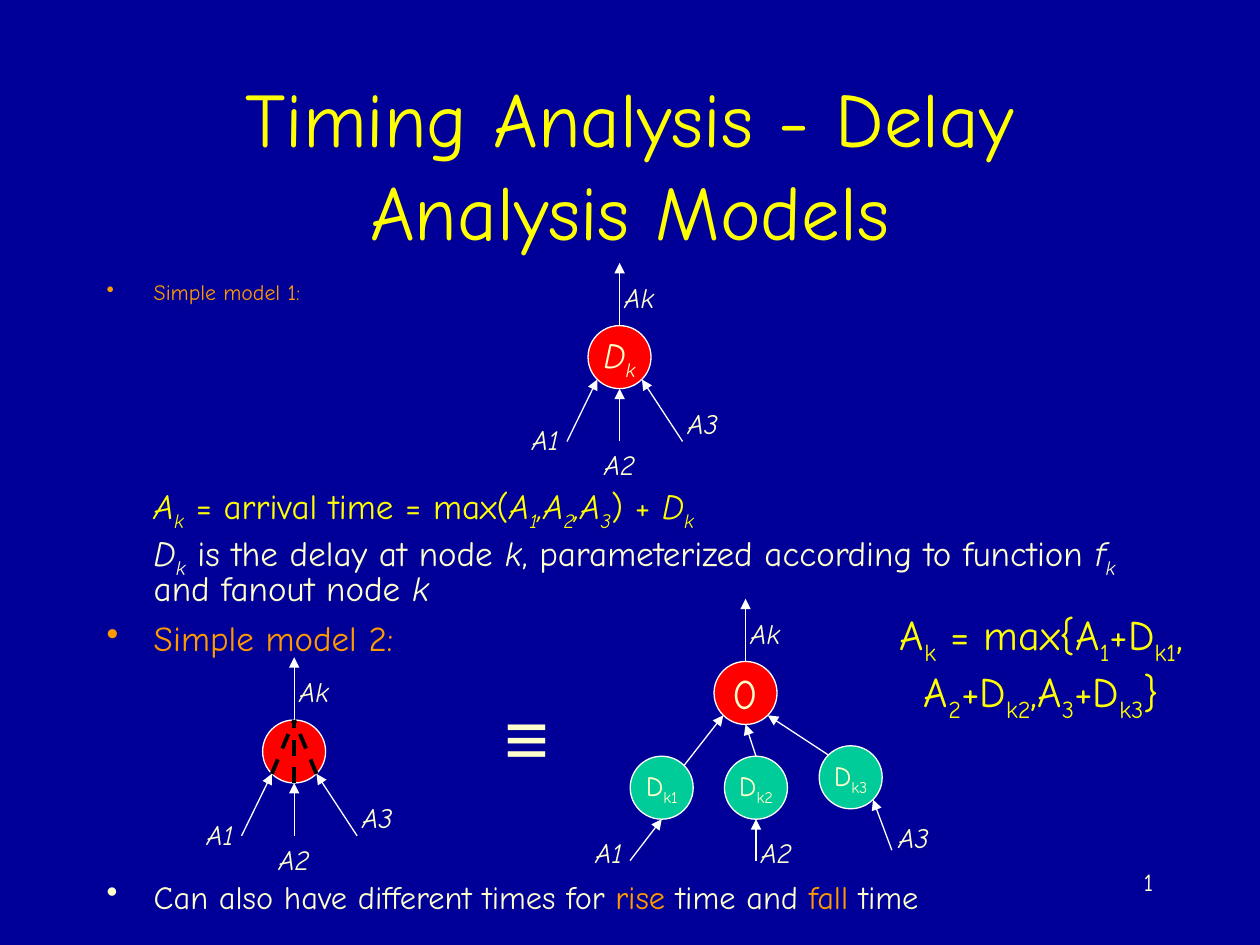
"""Build a slide that compares two delay models for timing analysis."""
import pptx
import pptx.dml.color
import pptx.enum.dml
import pptx.enum.shapes
import pptx.enum.text
import pptx.oxml.ns
import pptx.util
from lxml import etree

Cm = pptx.util.Cm
Pt = pptx.util.Pt
RGBColor = pptx.dml.color.RGBColor
ALIGN = pptx.enum.text.PP_ALIGN
ANCHOR = pptx.enum.text.MSO_ANCHOR
qn = pptx.oxml.ns.qn

NAVY = RGBColor(0x00, 0x00, 0x99)
YELLOW = RGBColor(0xFF, 0xFF, 0x00)
ORANGE = RGBColor(0xFF, 0x99, 0x00)
CREAM = RGBColor(0xFF, 0xFF, 0xCC)
RED = RGBColor(0xFF, 0x00, 0x00)
GREEN = RGBColor(0x00, 0xCC, 0x99)
WHITE = RGBColor(0xFF, 0xFF, 0xFF)
BLACK = RGBColor(0x00, 0x00, 0x00)

FONT = "Comic Neue"
RADIUS = 0.635
DIAGONAL = 0.45
HANG = 0.95
LEFT, WIDTH = 1.9, 21.6
LABEL_WIDTH, LABEL_HEIGHT = 1.3, 0.94


def write_spans(para, spans, size, colour, font=FONT):
    """Add (text, style, colour) spans; style i is italic and s is subscript."""
    for text, style, *own_colour in spans:
        span = para.add_run()
        span.text = text
        span.font.name = font
        span.font.size = Pt(size)
        span.font.italic = "i" in style
        span.font.color.rgb = own_colour[0] if own_colour else colour
        if "s" in style:
            span.font._element.set("baseline", "-25000")


def add_box(page, left, top, width, height, anchor=ANCHOR.TOP, wrap=True):
    """Add an empty text box and return its text frame."""
    box = page.shapes.add_textbox(Cm(left), Cm(top), Cm(width), Cm(height))
    frame = box.text_frame
    frame.word_wrap = wrap
    frame.vertical_anchor = anchor
    if not wrap:
        frame.auto_size = pptx.enum.text.MSO_AUTO_SIZE.SHAPE_TO_FIT_TEXT
    return frame


def add_centred(page, left, top, width, height, spans, size, colour, font=FONT, wrap=True):
    """Add a text box with one centred paragraph."""
    para = add_box(page, left, top, width, height, ANCHOR.MIDDLE, wrap).paragraphs[0]
    para.alignment = ALIGN.CENTER
    write_spans(para, spans, size, colour, font)


def add_label(page, x, y, text):
    """Add a signal name centred on a point."""
    add_centred(page, x - LABEL_WIDTH / 2, y - LABEL_HEIGHT / 2, LABEL_WIDTH, LABEL_HEIGHT,
                [(text, "i")], 16, CREAM, wrap=False)


def write_item(para, spans, size, colour, bullet=None, spacing=None):
    """Write an indented paragraph, with a hanging bullet if a colour is given."""
    para.space_before = Pt(5)
    if spacing:
        para.line_spacing = spacing
    properties = para._p.get_or_add_pPr()
    properties.set("marL", str(Cm(HANG)))
    properties.set("indent", str(-Cm(HANG) if bullet else 0))
    if bullet:
        bullet_colour = etree.SubElement(properties, qn("a:buClr"))
        etree.SubElement(bullet_colour, qn("a:srgbClr")).set("val", str(bullet))
        etree.SubElement(properties, qn("a:buChar")).set("char", "•")
    write_spans(para, spans, size, colour)


def add_node(page, x, y, fill, spans=(), size=16):
    """Add a round graph node centred on a point."""
    node = page.shapes.add_shape(
        pptx.enum.shapes.MSO_SHAPE.FLOWCHART_CONNECTOR,
        Cm(x - RADIUS), Cm(y - RADIUS), Cm(2 * RADIUS), Cm(2 * RADIUS))
    node.shadow.inherit = False
    node.fill.solid()
    node.fill.fore_color.rgb = fill
    node.line.color.rgb = WHITE
    node.line.width = Pt(0.75)
    node.text_frame.word_wrap = False
    node.text_frame.vertical_anchor = ANCHOR.MIDDLE
    para = node.text_frame.paragraphs[0]
    para.alignment = ALIGN.CENTER
    write_spans(para, spans, size, CREAM)


def add_line(page, x1, y1, x2, y2, dashed=False):
    """Add a thin white arrow or a thick black dashed line."""
    line = page.shapes.add_connector(
        pptx.enum.shapes.MSO_CONNECTOR.STRAIGHT, Cm(x1), Cm(y1), Cm(x2), Cm(y2))
    line.line.color.rgb = BLACK if dashed else WHITE
    line.line.width = Pt(2.25 if dashed else 0.75)
    if dashed:
        line.line.dash_style = pptx.enum.dml.MSO_LINE.DASH
    else:
        etree.SubElement(line.line._get_or_add_ln(), qn("a:tailEnd")).set("type", "triangle")
    etree.SubElement(line._element.spPr, qn("a:effectLst"))


def add_output(page, x, y):
    """Add the outgoing arrow and its label above a node."""
    add_line(page, x, y - RADIUS, x, y - 1.9)
    add_label(page, x + 0.4, y - 1.21, "Ak")


def add_fan(page, x, y, spans=()):
    """Add a red node with three labelled inputs and one output."""
    add_node(page, x, y, RED, spans, 20)
    inputs = [("A1", -1.06, -DIAGONAL, DIAGONAL, -1.49, 1.66),
              ("A2", 0, 0, RADIUS, 0, 2.17),
              ("A3", 1.27, DIAGONAL, DIAGONAL, 1.68, 1.33)]
    for name, start, tip_x, tip_y, label_x, label_y in inputs:
        add_line(page, x + start, y + 1.7, x + tip_x, y + tip_y)
        add_label(page, x + label_x, y + label_y, name)
    add_output(page, x, y)


def add_inner_paths(page, x, y):
    """Add the dashed paths from the inputs to the output of a node."""
    for dx, dy in [(-DIAGONAL, DIAGONAL), (0, RADIUS), (DIAGONAL, DIAGONAL)]:
        add_line(page, x + dx, y + dy, x, y - RADIUS, dashed=True)


def add_expanded_model(page, x, y):
    """Add the zero-delay node fed by one delay node for each input."""
    add_node(page, x, y, RED, [("0", "")], 24)
    add_output(page, x, y)
    branches = [(13.34, 15.88, -1, (-0.64, 0), RADIUS, (-1.06, 1.3)),
                (15.24, 15.88, 0, (0, 0), RADIUS, (0.41, 1.3)),
                (17.15, 15.67, 1, (0.83, DIAGONAL), DIAGONAL, (1.27, 1.21))]
    for number, branch in enumerate(branches, 1):
        node_x, node_y, side, (start, tip_x), tip_y, (label_x, label_y) = branch
        reach = DIAGONAL if side else RADIUS
        add_node(page, node_x, node_y, GREEN, [("D", ""), (f"k{number}", "s")])
        add_line(page, node_x - side * DIAGONAL, node_y - reach,
                 x + side * DIAGONAL, y + reach)
        add_line(page, node_x + start, node_y + 1.47, node_x + tip_x, node_y + tip_y)
        add_label(page, node_x + label_x, node_y + label_y, f"A{number}")


def add_notes_on_models(page):
    """Add the bulleted text and the arrival time definitions."""
    first = add_box(page, LEFT, 5.5, WIDTH, 0.85).paragraphs[0]
    write_item(first, [("Simple model 1:", "")], 12.5, ORANGE, ORANGE)

    frame = add_box(page, LEFT, 9.74, WIDTH, 4.02)
    arrival = [("A", "i"), ("k", "is"), (" = arrival time = max(", ""), ("A", "i"),
               ("1", "is"), (",A", "i"), ("2", "is"), (",A", "i"), ("3", "is"),
               (") + ", ""), ("D", "i"), ("k", "is")]
    delay = [("D", "i"), ("k", "is"), (" is the delay at node ", ""), ("k", "i"),
             (", parameterized according to function ", ""), ("f", "i"), ("k", "is"),
             (" and fanout node ", ""), ("k", "i")]
    write_item(frame.paragraphs[0], arrival, 20, YELLOW, spacing=0.8)
    write_item(frame.add_paragraph(), delay, 20, CREAM, spacing=0.8)
    write_item(frame.add_paragraph(), [("Simple model 2:", "")], 20, ORANGE, ORANGE)

    last = add_box(page, LEFT, 17.78, WIDTH, 0.85).paragraphs[0]
    times = [("Can also have different times for ", ""), ("rise", "", ORANGE),
             (" time and ", ""), ("fall", "", ORANGE), (" time", "")]
    write_item(last, times, 18.5, CREAM, CREAM, 0.7)


def main():
    """Build the slide and save the deck."""
    deck = pptx.Presentation()
    deck.slide_width, deck.slide_height = Cm(25.4), Cm(19.05)
    page = deck.slides.add_slide(deck.slide_layouts[6])
    page.background.fill.solid()
    page.background.fill.fore_color.rgb = NAVY

    add_centred(page, LEFT, 1.7, WIDTH, 3.18,
                [("Timing Analysis - Delay Analysis Models", "")], 44, YELLOW)
    add_notes_on_models(page)
    add_fan(page, 12.49, 7.2, [("D", "i"), ("k", "is")])
    add_fan(page, 5.93, 15.15)
    add_inner_paths(page, 5.93, 15.15)
    add_expanded_model(page, 15.03, 13.97)
    add_centred(page, 9.75, 13.77, 1.73, 2.13, [("≡", "")], 44, CREAM, "Arial", False)

    maximum = [("A", ""), ("k", "s"), (" = max{A", ""), ("1", "s"), ("+D", ""),
               ("k1", "s"), (", A", ""), ("2", "s"), ("+D", ""), ("k2", "s"),
               (",A", ""), ("3", "s"), ("+D", ""), ("k3", "s"), ("}", "")]
    add_centred(page, 16.08, 12.14, 9.83, 2.57, maximum, 24, YELLOW)

    number = add_box(page, 18.2, 17.35, 5.3, 1.27).paragraphs[0]
    number.alignment = ALIGN.RIGHT
    write_spans(number, [("1", "")], 14, CREAM)
    deck.save("out.pptx")


if __name__ == "__main__":
    main()
